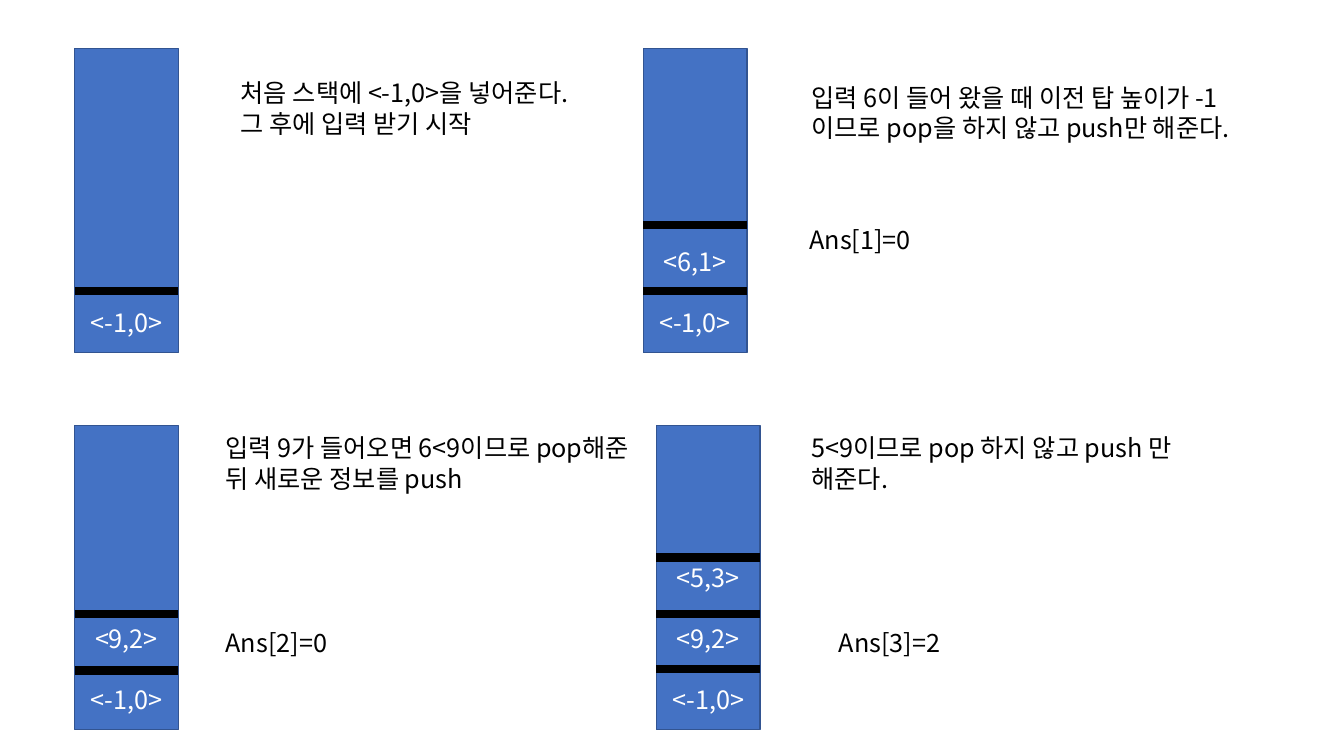
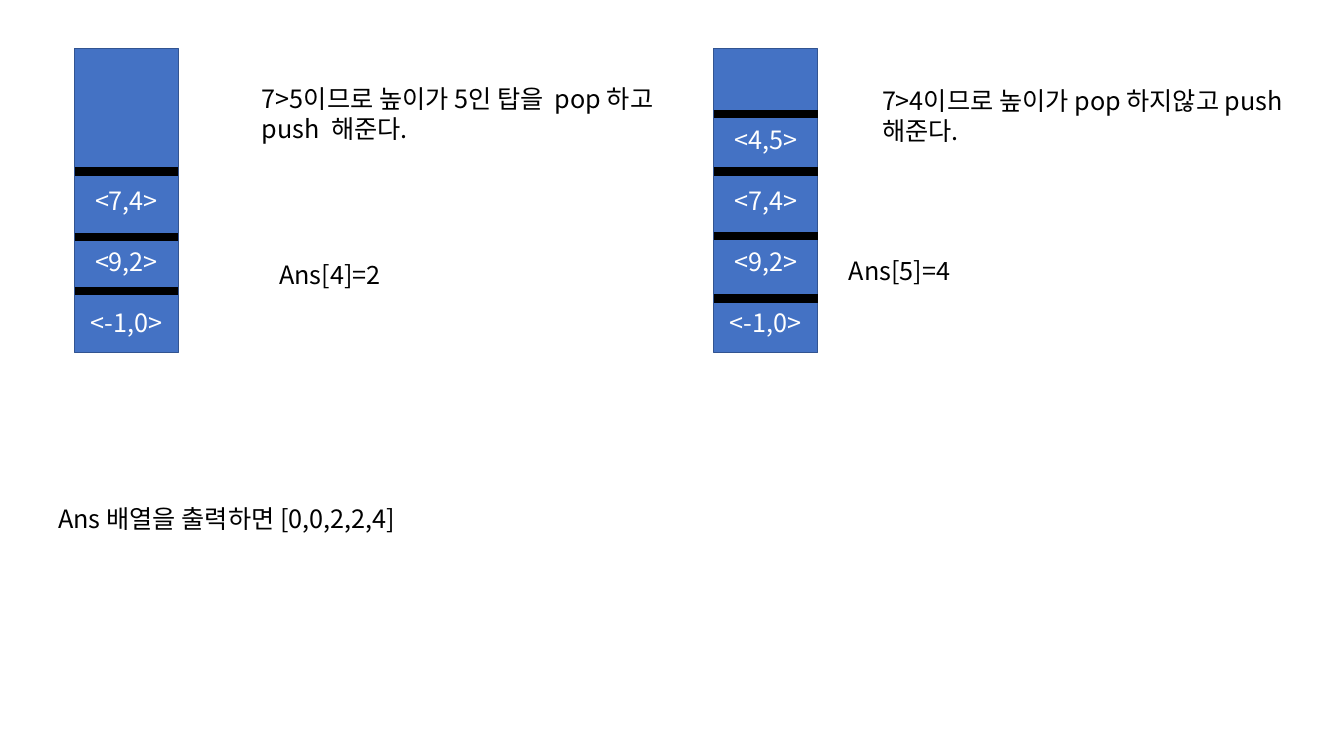
from dataclasses import dataclass

from lxml.etree import SubElement
from pptx import Presentation
from pptx.dml.color import RGBColor
from pptx.enum.shapes import MSO_CONNECTOR, MSO_SHAPE
from pptx.enum.text import MSO_ANCHOR, PP_ALIGN
from pptx.oxml.ns import qn
from pptx.util import Inches, Pt


@dataclass(frozen=True)
class Theme:
    """Colours, type and shared sizes."""
    stack_fill: RGBColor = RGBColor(0x44, 0x72, 0xC4)
    stack_edge: RGBColor = RGBColor(0x32, 0x54, 0x91)
    ink: RGBColor = RGBColor(0, 0, 0)
    entry_ink: RGBColor = RGBColor(255, 255, 255)
    font: str = "Noto Sans CJK KR"
    size: float = 18
    leading: float = 21.8
    edge: float = 1
    divider: float = 6
    stack_width: float = 1.03
    stack_height: float = 3.02
    note_width: float = 4.37


THEME = Theme()


@dataclass(frozen=True)
class Step:
    """One state of the stack; dividers are depths below the stack top."""
    corner: tuple
    entries: tuple
    dividers: tuple
    note: tuple
    note_at: tuple
    answer: str = ""
    answer_at: tuple = ()


def add_line(paragraph, text, color):
    """Write one run in the shared type style."""
    paragraph.line_spacing = Pt(THEME.leading)
    run = paragraph.add_run()
    run.text = text
    run.font.size = Pt(THEME.size)
    run.font.name = THEME.font
    run.font.color.rgb = color
    SubElement(run.font._element, qn("a:ea")).set("typeface", THEME.font)


def fill_frame(frame, lines, color, align=PP_ALIGN.LEFT, gap=0):
    """Fill a text frame with one paragraph per line, spaced by gap points."""
    frame.word_wrap = True
    for index, line in enumerate(lines):
        paragraph = frame.add_paragraph() if index else frame.paragraphs[0]
        paragraph.alignment = align
        paragraph.space_before = Pt(gap if index else 0)
        add_line(paragraph, line, color)


def add_note(slide, corner, lines):
    """Place an explanation with its top left at the given corner."""
    left, top = corner
    height = 0.1 + len(lines) * THEME.leading / 72
    note = slide.shapes.add_textbox(Inches(left), Inches(top),
                                    Inches(THEME.note_width), Inches(height))
    fill_frame(note.text_frame, lines, THEME.ink)


def add_divider(slide, left, top):
    """Draw a thick rule across a stack."""
    divider = slide.shapes.add_connector(
        MSO_CONNECTOR.STRAIGHT, Inches(left), Inches(top),
        Inches(left + THEME.stack_width), Inches(top))
    divider.line.color.rgb = THEME.ink
    divider.line.width = Pt(THEME.divider)
    SubElement(divider._element.spPr, qn("a:effectLst"))


def add_stack(slide, corner, entries, dividers):
    """Draw a stack with its entries, top entry first, and its dividers."""
    left, top = corner
    stack = slide.shapes.add_shape(
        MSO_SHAPE.RECTANGLE, Inches(left), Inches(top),
        Inches(THEME.stack_width), Inches(THEME.stack_height))
    stack.shadow.inherit = False
    stack.fill.solid()
    stack.fill.fore_color.rgb = THEME.stack_fill
    stack.line.color.rgb = THEME.stack_edge
    stack.line.width = Pt(THEME.edge)
    frame = stack.text_frame
    frame.vertical_anchor = MSO_ANCHOR.BOTTOM
    frame.margin_bottom = Inches(0.15)
    fill_frame(frame, entries, THEME.entry_ink, PP_ALIGN.CENTER, THEME.leading)
    for depth in dividers:
        add_divider(slide, left, top + depth)


def add_step(slide, step):
    """Draw a stack with its explanation and answer."""
    add_stack(slide, step.corner, step.entries, step.dividers)
    add_note(slide, step.note_at, step.note)
    if step.answer:
        add_note(slide, step.answer_at, (step.answer,))


def add_steps_slide(deck, steps):
    """Add a blank slide holding the given steps."""
    slide = deck.slides.add_slide(deck.slide_layouts[6])
    for step in steps:
        add_step(slide, step)
    return slide


FIRST_STEPS = (
    Step((0.74, 0.48), ("<-1,0>",), (2.41,),
         ("처음 스택에 <-1,0>을 넣어준다.", "그 후에 입력 받기 시작"), (2.29, 0.72)),
    Step((6.38, 0.48), ("<6,1>", "<-1,0>"), (1.75, 2.41),
         ("입력 6이 들어 왔을 때 이전 탑 높이가 -1 이므로 pop을 하지 않고 push만 해준다.",),
         (7.95, 0.76), "Ans[1]=0", (7.93, 2.17)),
    Step((0.74, 4.22), ("<9,2>", "<-1,0>"), (1.87, 2.43),
         ("입력 9가 들어오면 6<9이므로 pop해준 뒤 새로운 정보를 push",),
         (2.14, 4.24), "Ans[2]=0", (2.14, 6.17)),
    Step((6.51, 4.22), ("<5,3>", "<9,2>", "<-1,0>"), (1.31, 1.87, 2.42),
         ("5<9이므로 pop 하지 않고 push 만 해준다.",),
         (7.95, 4.24), "Ans[3]=2", (8.22, 6.17)),
)
LAST_STEPS = (
    Step((0.74, 0.48), ("<7,4>", "<9,2>", "<-1,0>"), (1.22, 1.87, 2.41),
         ("7>5이므로 높이가 5인 탑을  pop 하고 push  해준다.",),
         (2.5, 0.77), "Ans[4]=2", (2.67, 2.52)),
    Step((7.08, 0.48), ("<4,5>", "<7,4>", "<9,2>", "<-1,0>"),
         (0.65, 1.22, 1.86, 2.48),
         ("7>4이므로 높이가 pop 하지않고 push  해준다.",),
         (8.65, 0.79), "Ans[5]=4", (8.32, 2.48)),
)

deck = Presentation()
deck.slide_width, deck.slide_height = Inches(13.33), Inches(7.5)
add_steps_slide(deck, FIRST_STEPS)
result = add_steps_slide(deck, LAST_STEPS)
add_note(result, (0.48, 4.94), ("Ans 배열을 출력하면 [0,0,2,2,4]",))
deck.save("out.pptx")
